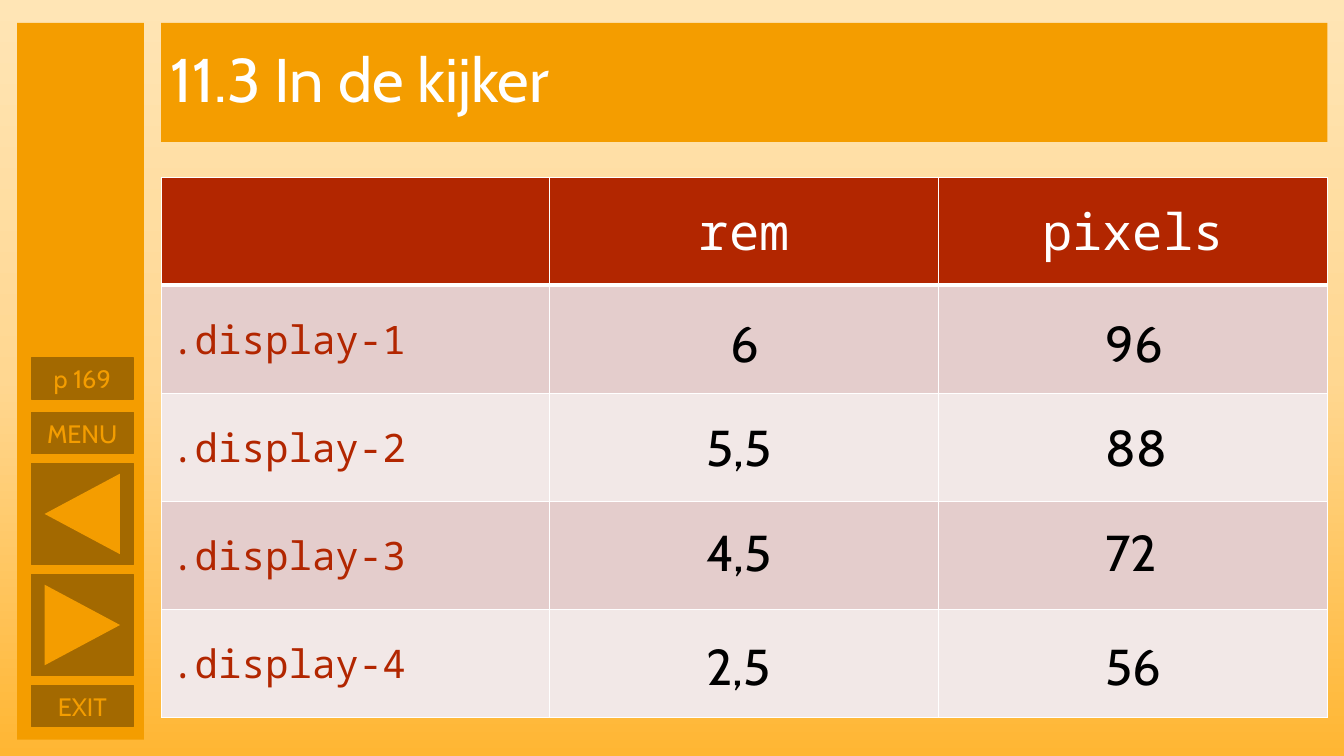
from copy import deepcopy

from lxml.etree import SubElement
from pptx import Presentation
from pptx.dml.color import RGBColor
from pptx.enum.shapes import MSO_SHAPE as Preset
from pptx.enum.text import MSO_ANCHOR as Anchor, MSO_AUTO_SIZE as AutoSize, PP_ALIGN as Align
from pptx.oxml.ns import qn
from pptx.util import Cm, Pt

COLORS = {
    "orange": "F49D00", "brown": "A36900", "red": "B22600",
    "band_dark": "E4CDCC", "band_light": "F2E8E7",
    "white": "FFFFFF", "black": "000000",
    "sky_top": "FFE5B5", "sky_middle": "FFD791", "sky_bottom": "FFB633",
}
SANS, MONO = "Cabin", "Noto Sans Mono"

SKY = ["sky_top", "sky_middle", "sky_bottom"]
LABEL_DROPS = {"p 169": 8.44, "MENU": 9.81, "EXIT": 16.69}
ARROW_DROPS = {270: 11.1, 90: 13.9}

HEADINGS = ["", "rem", "pixels"]
DISPLAYS = [
    (".display-1", "6", "96"),
    (".display-2", "5,5", "88"),
    (".display-3", "4,5", "72"),
    (".display-4", "2,5", "56"),
]
VALUE_DROPS = [3.28, 5.89, 8.53, 11.41]
REM_INDENT, PIXELS_INDENT = 13.49, 23.55
SINGLE_DIGIT_SHIFT = 0.61
THIN, THICK = 1, 3


def rgb(name):
    """Return the named palette colour."""
    return RGBColor.from_string(COLORS[name])


def write(frame, text, font, size, color, align=Align.LEFT):
    """Put one formatted paragraph in a text frame and return it."""
    line = frame.paragraphs[0]
    line.text = text
    line.alignment = align
    line.font.name, line.font.size, line.font.bold = font, Pt(size), False
    line.font.color.rgb = rgb(color)
    return line


def add_block(slide, preset, left, top, width, height, fill, outline=None):
    """Add a flat preset shape, measured in centimetres."""
    block = slide.shapes.add_shape(preset, Cm(left), Cm(top), Cm(width), Cm(height))
    block.shadow.inherit = False
    block.fill.solid()
    block.fill.fore_color.rgb = rgb(fill)
    if outline:
        block.line.color.rgb = rgb(outline)
        block.line.width = Pt(1)
    else:
        block.line.fill.background()
    return block


def paint_background(slide):
    """Fill the background with evenly spaced colours from top to bottom."""
    fill = slide.background.fill
    fill.gradient()
    fill.gradient_angle = 270
    stop_list = slide.element.find(".//" + qn("a:gsLst"))
    stop_list.append(deepcopy(stop_list[0]))
    for index, (stop, color) in enumerate(zip(fill.gradient_stops, SKY)):
        stop.position = index / (len(SKY) - 1)
        stop.color.rgb = rgb(color)


def add_label_button(slide, label, left, top, width):
    """Draw a low button with a centred label."""
    button = add_block(slide, Preset.RECTANGLE, left, top, width, 1.04, "brown", "brown")
    button.text_frame.vertical_anchor = Anchor.MIDDLE
    write(button.text_frame, label, SANS, 18, "orange", Align.CENTER)


def add_arrow_button(slide, rotation, left, top, width):
    """Draw a nearly square button with a turned triangle in its centre."""
    height, arrow_width, arrow_height = 2.54, 2.03, 1.9
    add_block(slide, Preset.RECTANGLE, left, top, width, height, "brown", "brown")
    arrow = add_block(slide, Preset.ISOSCELES_TRIANGLE,
                      left + (width - arrow_width) / 2, top + (height - arrow_height) / 2,
                      arrow_width, arrow_height, "orange")
    arrow.rotation = rotation


def build_sidebar(slide, left, top, width, height):
    """Draw the navigation bar with its centred buttons."""
    add_block(slide, Preset.RECTANGLE, left, top, width, height, "orange")
    button_left, button_width = left + 0.36, 2.57
    for label, drop in LABEL_DROPS.items():
        add_label_button(slide, label, button_left, top + drop, button_width)
    for rotation, drop in ARROW_DROPS.items():
        add_arrow_button(slide, rotation, button_left, top + drop, button_width)


def build_title(slide, left, top, width, height):
    """Draw the title band."""
    band = add_block(slide, Preset.RECTANGLE, left, top, width, height, "orange")
    band.text_frame.word_wrap = True
    band.text_frame.vertical_anchor = Anchor.MIDDLE
    write(band.text_frame, "11.3 In de kijker", SANS, 44, "white").line_spacing = 0.9


def style_cell(cell, fill, above=THIN, below=THIN):
    """Fill a cell and give it white borders."""
    cell.vertical_anchor = Anchor.MIDDLE
    cell.fill.solid()
    cell.fill.fore_color.rgb = rgb(fill)
    properties = cell._tc.get_or_add_tcPr()
    border_widths = {"a:lnL": THIN, "a:lnR": THIN, "a:lnT": above, "a:lnB": below}
    for index, (tag, points) in enumerate(border_widths.items()):
        border = SubElement(properties, qn(tag), w=str(Pt(points)))
        SubElement(SubElement(border, qn("a:solidFill")), qn("a:srgbClr"), val=COLORS["white"])
        properties.insert(index, border)


def build_table(slide, left, top, width, height):
    """Draw the table of display classes, leaving the number cells empty."""
    table = slide.shapes.add_table(len(DISPLAYS) + 1, len(HEADINGS), Cm(left), Cm(top),
                                   Cm(width), Cm(height)).table
    for column, heading in enumerate(HEADINGS):
        heading_cell = table.cell(0, column)
        style_cell(heading_cell, "red", below=THICK)
        if heading:
            write(heading_cell.text_frame, heading, MONO, 36, "white", Align.CENTER)
    for row, (class_name, _, _) in enumerate(DISPLAYS, 1):
        band = "band_dark" if row % 2 else "band_light"
        for column in range(len(HEADINGS)):
            style_cell(table.cell(row, column), band, above=THICK if row == 1 else THIN)
        write(table.cell(row, 0).text_frame, class_name, MONO, 28, "red")


def add_value(slide, text, left, top):
    """Place one large number over the table."""
    frame = slide.shapes.add_textbox(Cm(left), Cm(top), Cm(3.1), Cm(1.8)).text_frame
    frame.word_wrap = True
    frame.auto_size = AutoSize.SHAPE_TO_FIT_TEXT
    write(frame, text, SANS, 36, "black")


def build_values(slide, left, top):
    """Place the rem and pixel numbers, measured from the table's corner."""
    for (_, rem, pixels), drop in zip(DISPLAYS, VALUE_DROPS):
        shift = SINGLE_DIGIT_SHIFT if len(rem) == 1 else 0
        add_value(slide, rem, left + REM_INDENT + shift, top + drop)
        add_value(slide, pixels, left + PIXELS_INDENT, top + drop)


def main():
    """Build and save the slide."""
    deck = Presentation()
    deck.slide_width, deck.slide_height = Cm(33.87), Cm(19.05)
    slide = deck.slides.add_slide(deck.slide_layouts[6])
    margin_top, content_left, content_width, table_top = 0.58, 4.06, 29.39, 4.47
    paint_background(slide)
    build_sidebar(slide, 0.43, margin_top, 3.2, 18.06)
    build_title(slide, content_left, margin_top, content_width, 3)
    build_table(slide, content_left, table_top, content_width, 13.6)
    build_values(slide, content_left, table_top)
    deck.save("out.pptx")


if __name__ == "__main__":
    main()
